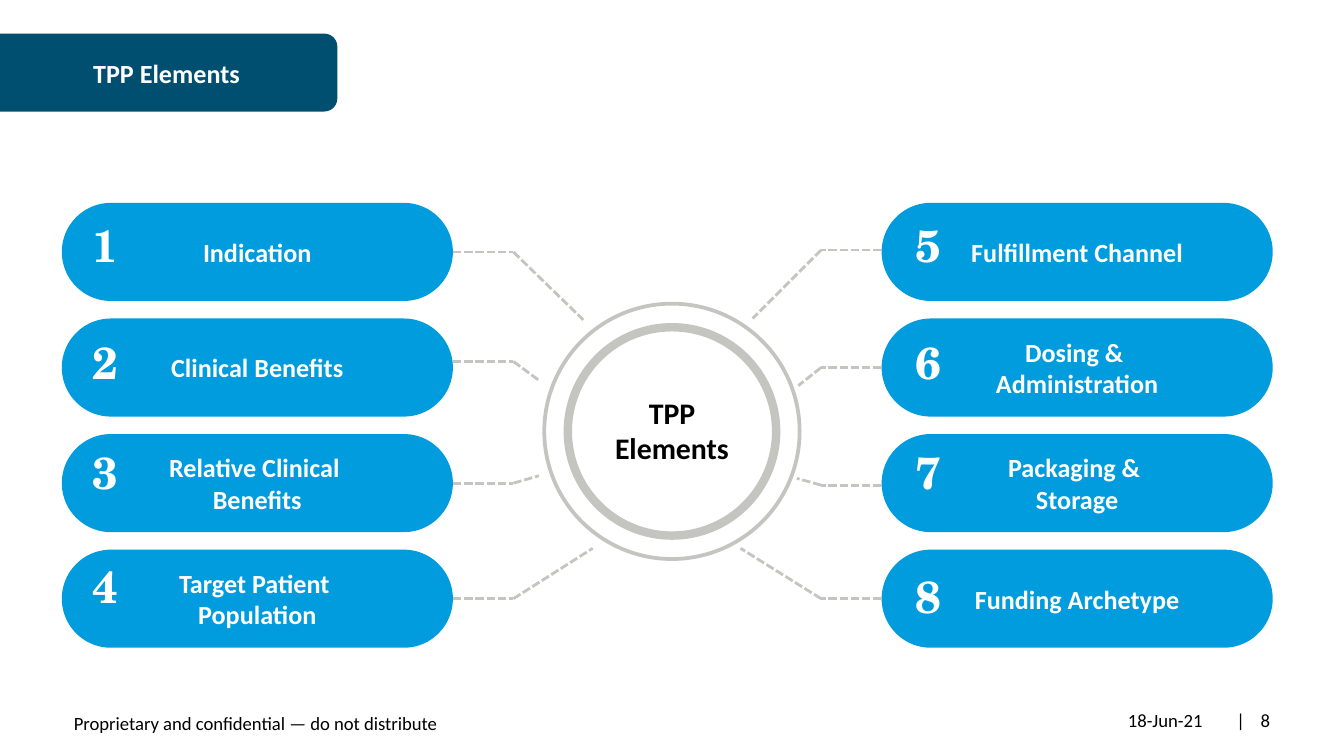
from lxml.etree import SubElement
from pptx import Presentation
from pptx.dml.color import RGBColor
from pptx.enum.dml import MSO_LINE
from pptx.enum.shapes import MSO_CONNECTOR, MSO_SHAPE
from pptx.enum.text import MSO_ANCHOR, PP_ALIGN
from pptx.oxml.ns import qn
from pptx.util import Inches, Pt

BLUE, NAVY, GRAY, WHITE, BLACK = "009CDE", "004F71", "C4C4C0", "FFFFFF", "000000"
PILL_W, PILL_H, STEP = 2.91, 0.73, 0.86
LEFT = [
    ("1", ["Indication"], 0.06, None, (4.34, 2.38)),
    ("2", ["Clinical Benefits"], 0.07, 2.69, (4.01, 2.83)),
    ("3", ["Relative Clinical ", "Benefits"], 0.03, None, (4.01, 3.54)),
    ("4", ["Target Patient ", "Population"], 0.02, None, (4.41, 4.08)),
]
RIGHT = [
    ("5", ["Fulfillment Channel"], 0.06, 1.86, (5.6, 2.37)),
    ("6", ["Dosing & ", "Administration"], 0.07, None, (5.94, 2.87)),
    ("7", ["Packaging & ", "Storage"], 0.03, 3.61, (5.93, 3.56)),
    ("8", ["Funding Archetype"], 0.09, None, (5.51, 4.08)),
]


def color(code):
    """Turn a hex string into a colour."""
    return RGBColor.from_string(code)


def write(shape, lines, size=14, font="Calibri", ink=WHITE, bold=False,
          align=PP_ALIGN.CENTER, anchor=MSO_ANCHOR.MIDDLE, side=0.1, right=0.1, tab=None):
    """Write the lines as formatted paragraphs in a shape."""
    frame = shape.text_frame
    frame.word_wrap = True
    frame.vertical_anchor = anchor
    frame.margin_left, frame.margin_right = Inches(side), Inches(right)
    frame.margin_top = frame.margin_bottom = Inches(0.05)
    for i, line in enumerate(lines):
        para = frame.add_paragraph() if i else frame.paragraphs[0]
        para.alignment = align
        if tab:
            stops = SubElement(para._p.get_or_add_pPr(), qn("a:tabLst"))
            SubElement(stops, qn("a:tab"), pos=str(Inches(tab)), algn="l")
        run = para.add_run()
        run.text = line
        run.font.size, run.font.name, run.font.bold = Pt(size), font, bold
        run.font.color.rgb = color(ink)


def label(slide, box, lines, **style):
    """Add a text box."""
    write(slide.shapes.add_textbox(*map(Inches, box)), lines, **style)


def block(slide, kind, box, fill=None, line=None, width=1):
    """Add a preset shape with a plain fill or outline."""
    shape = slide.shapes.add_shape(kind, *map(Inches, box))
    shape.shadow.inherit = False
    if fill:
        shape.fill.solid()
        shape.fill.fore_color.rgb = color(fill)
    else:
        shape.fill.background()
    if line:
        shape.line.color.rgb = color(line)
        shape.line.width = Pt(width)
    else:
        shape.line.fill.background()
    return shape


def dash(slide, start, end):
    """Add a dashed line between two points."""
    link = slide.shapes.add_connector(MSO_CONNECTOR.STRAIGHT, *map(Inches, (*start, *end)))
    link.line.color.rgb = color(GRAY)
    link.line.width = Pt(1.5)
    link.line.dash_style = MSO_LINE.SQUARE_DOT
    SubElement(link._element.spPr, qn("a:effectLst"))
    return link


def header(slide, box):
    """Place the title on its band, rounded at the right."""
    x, y, w, h = box
    turned = (x + (w - h) / 2, y + (h - w) / 2, h, w)
    band = block(slide, MSO_SHAPE.ROUND_2_SAME_RECTANGLE, turned, fill=NAVY)
    band.rotation = 90
    title = slide.shapes.title
    title.left, title.top, title.width, title.height = map(Inches, (x, y, w - 0.03, h))
    write(title, ["TPP Elements"], bold=True)
    slide.shapes._spTree.append(title._element)


def hub(slide, box):
    """Draw the two rings and the text at their centre."""
    x, y, w, h = box
    label(slide, (x + 0.24, y + 0.62, 1.42, 0.64), ["TPP Elements"],
          size=16, ink=BLACK, bold=True)
    inset = 0.175
    inner = (x + inset, y + inset, w - 2 * inset, h - 2 * inset)
    block(slide, MSO_SHAPE.OVAL, inner, line=GRAY, width=4.5)
    block(slide, MSO_SHAPE.OVAL, box, line=GRAY, width=2)


def column(slide, x, y, items, indent, side):
    """Stack numbered pills, each with a bent line towards the hub."""
    site = 3 if side > 0 else 1
    edge = x + PILL_W if side > 0 else x
    bend = edge + side * 0.45
    for i, (num, lines, drop, level, tip) in enumerate(items):
        top = y + i * STEP
        pill = block(slide, MSO_SHAPE.ROUNDED_RECTANGLE, (x, top, PILL_W, PILL_H), fill=BLUE)
        pill.adjustments[0] = 0.5
        write(pill, lines, bold=True)
        label(slide, (x + indent, top + drop, 0.42, 0.5), [num], size=24,
              font="TeX Gyre Schola", bold=True, align=PP_ALIGN.LEFT)
        mid = level or top + PILL_H / 2
        link = dash(slide, (edge, mid), (bend, mid))
        if not level:
            link.begin_connect(pill, site)
        dash(slide, (bend, mid), tip)


def footer(slide, x, y):
    """Place the notice, the date and the page number."""
    label(slide, (x, y + 0.06, 3.34, 0.24), ["Proprietary and confidential — do not distribute"],
          size=10, ink=BLACK, align=PP_ALIGN.LEFT, anchor=MSO_ANCHOR.BOTTOM, side=0, right=0)
    label(slide, (x + 7.69, y, 0.86, 0.3), ["18-Jun-21"], size=10, ink=BLACK)
    label(slide, (x + 8.38, y, 0.62, 0.3), ["|\t8"], size=10, ink=BLACK,
          align=PP_ALIGN.LEFT, side=0.27, tab=0.18)


def main():
    """Build the slide and save it."""
    deck = Presentation()
    deck.slide_width = Inches(10)
    deck.slide_height = deck.slide_width * 9 // 16
    slide = deck.slides.add_slide(deck.slide_layouts[5])
    footer(slide, 0.55, 5.21)
    header(slide, (0, 0.25, 2.51, 0.58))
    hub(slide, (4.05, 2.26, 1.9, 1.9))
    column(slide, 0.46, 1.51, LEFT, 0.13, 1)
    column(slide, 6.56, 1.51, RIGHT, 0.15, -1)
    deck.save("out.pptx")


if __name__ == "__main__":
    main()
